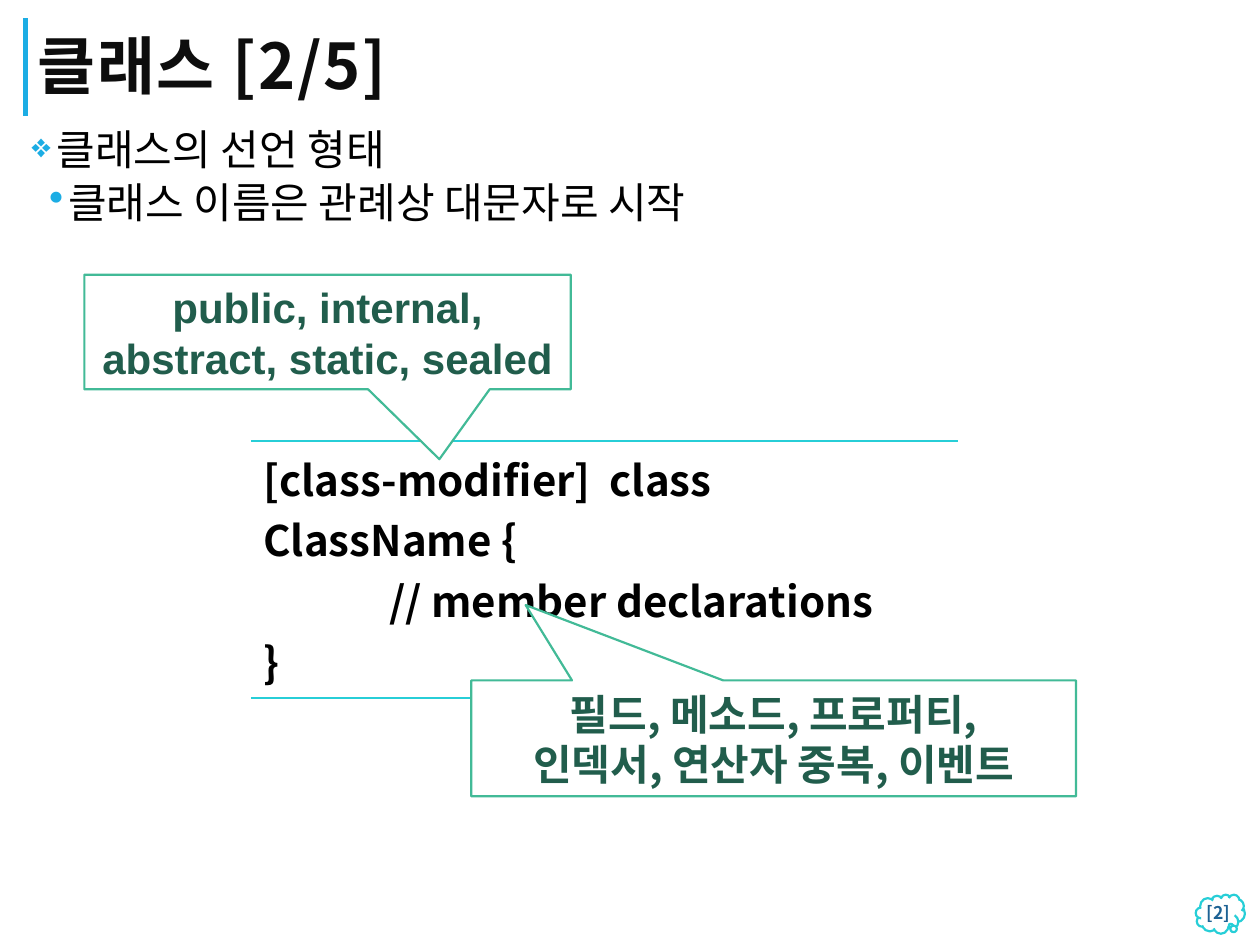
from lxml.etree import SubElement
from pptx import Presentation
from pptx.dml.color import RGBColor
from pptx.enum.shapes import MSO_CONNECTOR, MSO_SHAPE
from pptx.enum.text import MSO_ANCHOR, MSO_AUTO_SIZE, PP_ALIGN
from pptx.oxml.ns import qn
from pptx.util import Inches, Pt

COLORS = {
    "accent": "1CADE4", "teal": "27CED7", "green": "42BA97", "dark_green": "215D4C",
    "navy": "1D6294", "title": "0D0D0D", "black": "000000", "white": "FFFFFF",
}
KOREAN = "Noto Sans CJK KR"
PLAIN_TABLE_STYLE = "{2D5ABB26-0587-4C30-8999-92F81FD0307C}"
TITLE = "클래스 [2/5]"
PAGE_NUMBER = "[2]"
BULLETS = [
    {"text": "클래스의 선언 형태", "level": 0, "margin": 0.2, "indent": -0.38,
     "before": 12, "after": 2, "mark": "❖", "size": 80},
    {"text": "클래스 이름은 관례상 대문자로 시작", "level": 1, "margin": 0.29, "indent": -0.15,
     "before": 2, "after": 4, "mark": "•", "size": 100},
]
CODE = ["[class-modifier]  class  ClassName {", "\t// member declarations", "}"]
CALLOUTS = [
    {"lines": ["필드, 메소드, 프로퍼티,", "인덱서, 연산자 중복, 이벤트"], "font": KOREAN,
     "area": (3.74, 5.4, 4.8, 0.92), "tip": (-0.41, -1.15)},
    {"lines": ["public, internal,", "abstract, static, sealed"], "font": "Arial",
     "area": (0.67, 2.18, 3.86, 0.91), "tip": (0.23, 1.11)},
]


def rgb(name):
    return RGBColor.from_string(COLORS[name])


def inches(area):
    return [Inches(value) for value in area]


def write(frame, lines, size, color, bold=True, font=KOREAN, align=PP_ALIGN.LEFT):
    frame.text = "\n".join(lines)
    for para in frame.paragraphs:
        para.alignment = align
        for span in para.runs:
            span.font.size = Pt(size)
            span.font.bold = bold
            span.font.color.rgb = rgb(color)
            span.font.name = font
            SubElement(span.font._element, qn("a:ea")).set("typeface", font)


def set_margins(frame, left, top, right, bottom):
    frame.margin_left, frame.margin_top = Inches(left), Inches(top)
    frame.margin_right, frame.margin_bottom = Inches(right), Inches(bottom)


def add_outlined(page, kind, area, adjustments, color):
    shape = page.shapes.add_shape(kind, *inches(area))
    shape.shadow.inherit = False
    for index, value in enumerate(adjustments):
        shape.adjustments[index] = value
    shape.fill.solid()
    shape.fill.fore_color.rgb = rgb("white")
    shape.line.color.rgb = rgb(color)
    shape.line.width = Pt(1.25)
    return shape


def add_title(page):
    bar = page.shapes.add_connector(
        MSO_CONNECTOR.STRAIGHT, *inches((0.2, 0.92, 0.2, 0.14)))
    bar.line.color.rgb = rgb("accent")
    bar.line.width = Pt(3)
    SubElement(bar._element.spPr, qn("a:effectLst"))
    title = page.shapes.title
    title.left, title.top, title.width, title.height = inches((0.2, 0.14, 7.97, 0.78))
    frame = title.text_frame
    write(frame, [TITLE], 36, "title")
    frame.auto_size = MSO_AUTO_SIZE.NONE
    frame.vertical_anchor = MSO_ANCHOR.MIDDLE
    set_margins(frame, 0.1, 0.12, 0.1, 0.05)
    para = frame.paragraphs[0]
    para.line_spacing = 0.8
    para.runs[0].font._element.set("spc", "100")


def add_bullets(page):
    frame = page.shapes.add_textbox(*inches((0.2, 0.98, 9.61, 6.14))).text_frame
    frame.word_wrap = True
    set_margins(frame, 0.05, 0.05, 0.05, 0.05)
    write(frame, [item["text"] for item in BULLETS], 24, "black", bold=False)
    for para, item in zip(frame.paragraphs, BULLETS):
        para.level = item["level"]
        para.line_spacing = 0.9
        para.space_before = Pt(item["before"])
        para.space_after = Pt(item["after"])
        props = para._p.get_or_add_pPr()
        props.set("marL", str(Inches(item["margin"])))
        props.set("indent", str(Inches(item["indent"])))
        color = SubElement(props, qn("a:buClr"))
        SubElement(color, qn("a:srgbClr")).set("val", COLORS["accent"])
        SubElement(props, qn("a:buSzPct")).set("val", str(item["size"] * 1000))
        SubElement(props, qn("a:buChar")).set("char", item["mark"])


def add_code_table(page):
    holder = page.shapes.add_table(1, 1, *inches((1.99, 3.5, 5.61, 2.04)))
    table = holder.table
    table.first_row = table.horz_banding = False
    table._tbl.tblPr.find(qn("a:tableStyleId")).text = PLAIN_TABLE_STYLE
    cell = table.cell(0, 0)
    write(cell.text_frame, CODE, 24, "black")
    for para in cell.text_frame.paragraphs:
        tabs = SubElement(para._p.get_or_add_pPr(), qn("a:tabLst"))
        SubElement(tabs, qn("a:tab"), pos=str(Inches(1)), algn="l")
    props = cell._tc.get_or_add_tcPr()
    for side in ("lnT", "lnB"):
        border = SubElement(props, qn(f"a:{side}"), w=str(Pt(1)))
        fill = SubElement(border, qn("a:solidFill"))
        SubElement(fill, qn("a:srgbClr")).set("val", COLORS["teal"])
        SubElement(border, qn("a:prstDash")).set("val", "solid")
    cell.fill.background()


def add_callout(page, item):
    shape = add_outlined(
        page, MSO_SHAPE.RECTANGULAR_CALLOUT, item["area"], item["tip"], "green")
    frame = shape.text_frame
    frame.word_wrap = False
    frame.vertical_anchor = MSO_ANCHOR.MIDDLE
    write(frame, item["lines"], 24, "dark_green", font=item["font"], align=PP_ALIGN.CENTER)


def add_page_number(page):
    add_outlined(page, MSO_SHAPE.CLOUD_CALLOUT, (9.49, 7.1, 0.39, 0.31), (0.2, 0.28), "teal")
    frame = page.shapes.add_textbox(*inches((9.23, 7.07, 0.63, 0.34))).text_frame
    frame.word_wrap = True
    frame.vertical_anchor = MSO_ANCHOR.MIDDLE
    write(frame, [PAGE_NUMBER], 10, "navy", align=PP_ALIGN.RIGHT)


def main():
    deck = Presentation()
    deck.slide_width, deck.slide_height = Inches(10), Inches(7.5)
    page = deck.slides.add_slide(deck.slide_layouts[5])
    add_title(page)
    add_bullets(page)
    add_page_number(page)
    add_code_table(page)
    for item in CALLOUTS:
        add_callout(page, item)
    deck.save("out.pptx")


if __name__ == "__main__":
    main()
